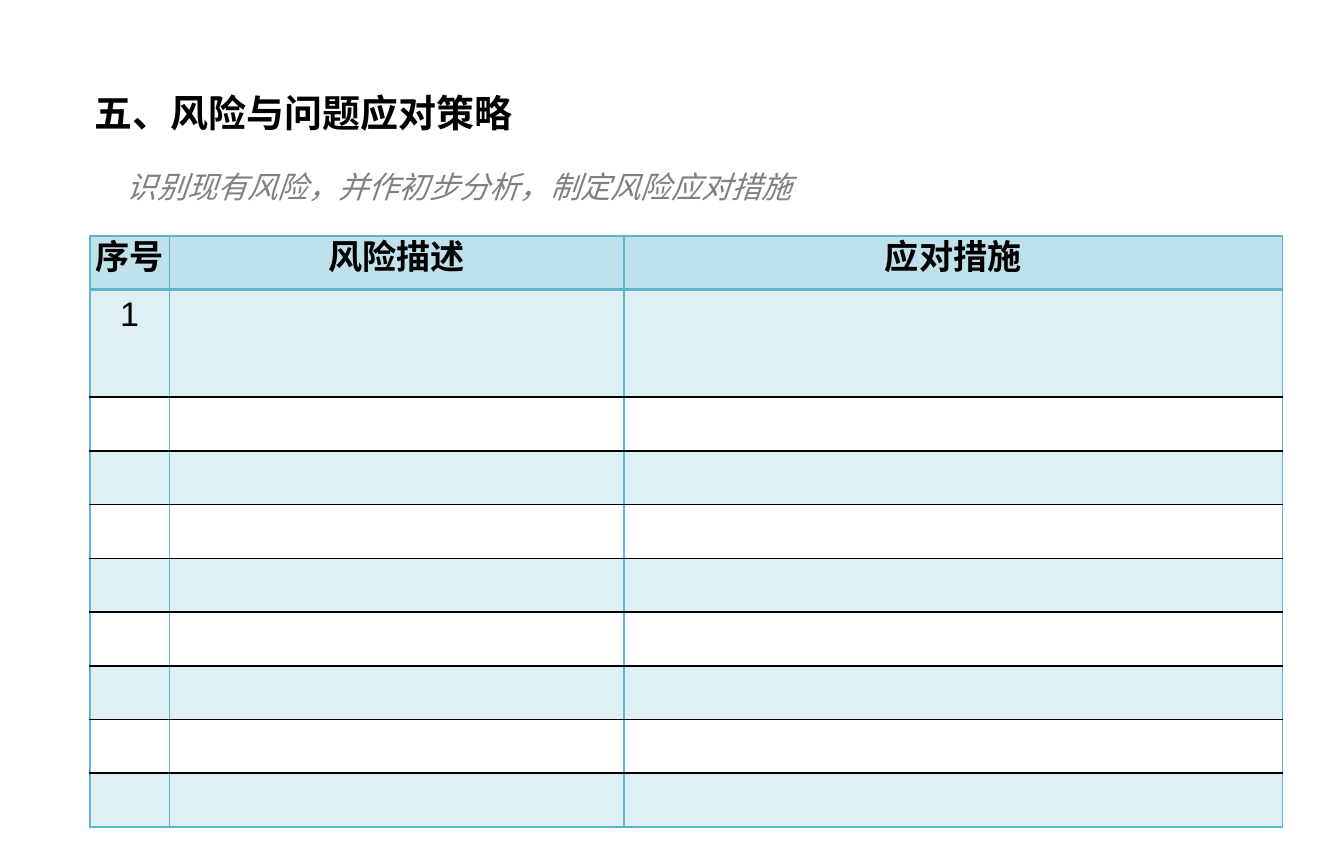
from lxml.etree import SubElement
from pptx import Presentation
from pptx.dml.color import RGBColor
from pptx.enum.text import MSO_ANCHOR, MSO_AUTO_SIZE, PP_ALIGN
from pptx.oxml import parse_xml
from pptx.oxml.ns import nsdecls, qn
from pptx.util import Inches, Pt

COLORS = {
    "text": "000000",
    "hint": "808080",
    "header": "BFE1EB",
    "band": "DFF0F5",
    "plain": "FFFFFF",
    "grid": "60B5CC",
    "rule": "000000",
}
HEADING_FONT, BODY_FONT = "Noto Sans CJK SC", "Arial"
GRID_COLUMNS, GRID_ROWS = 984, 630  # page grid, one hundredth of an inch

HEADERS = ["序号", "风险描述", "应对措施"]
COLUMN_SHARES = [58, 333, 482]
ROW_SHARES = [1, 2] + [1] * 8


def grid_box(deck, column, row, columns, rows):
    """Turn grid columns and rows into left, top, width and height."""
    across, down = deck.slide_width / GRID_COLUMNS, deck.slide_height / GRID_ROWS
    return [int(length) for length in
            (column * across, row * down, columns * across, rows * down)]


def write_text(frame, text, font=BODY_FONT, size=18, color="text", bold=False,
               italic=False, align=PP_ALIGN.LEFT, spacing=None):
    """Write one formatted paragraph into a text frame."""
    para = frame.paragraphs[0]
    para.alignment = align
    para.line_spacing = spacing
    span = para.add_run()
    span.text = text
    span.font.size = Pt(size)
    span.font.bold, span.font.italic = bold, italic
    span.font.color.rgb = RGBColor.from_string(COLORS[color])
    span.font.name = font
    east_asian = SubElement(span.font._element, qn("a:ea"))
    east_asian.set("typeface", HEADING_FONT)


def add_heading(page, box):
    """Place the page title in its placeholder."""
    title = page.shapes.title
    title.left, title.top, title.width, title.height = box
    frame = title.text_frame
    frame.auto_size = MSO_AUTO_SIZE.NONE
    frame.vertical_anchor = MSO_ANCHOR.MIDDLE
    write_text(frame, "五、风险与问题应对策略", font=HEADING_FONT, size=20, bold=True)


def add_hint(page, box):
    """Place the grey instruction under the title."""
    frame = page.shapes.add_textbox(*box).text_frame
    frame.word_wrap = True
    write_text(frame, "识别现有风险，并作初步分析，制定风险应对措施",
               size=16, color="hint", italic=True)


def set_borders(cell, top, bottom):
    """Draw cell borders; top and bottom are pairs of colour and points."""
    side = ("grid", 1)
    borders = [("L", side), ("R", side), ("T", top), ("B", bottom)]
    properties = cell._tc.get_or_add_tcPr()
    for index, (edge, (color, points)) in enumerate(borders):
        properties.insert(index, parse_xml(
            f'<a:ln{edge} {nsdecls("a")} w="{Pt(points)}"><a:solidFill>'
            f'<a:srgbClr val="{COLORS[color]}"/></a:solidFill></a:ln{edge}>'))


def add_risk_table(page, box):
    """Build the risk table: header, first risk and blank banded rows."""
    width, height = box[2:]
    table = page.shapes.add_table(len(ROW_SHARES), len(HEADERS), *box).table
    table.horz_banding = table.first_row = False
    for column, share in zip(table.columns, COLUMN_SHARES):
        column.width = int(width * share / sum(COLUMN_SHARES))
    for row, share in zip(table.rows, ROW_SHARES):
        row.height = int(height * share / sum(ROW_SHARES))

    last = len(ROW_SHARES) - 1
    edges = [("grid", 1), ("grid", 2)] + [("rule", 1)] * (last - 1) + [("grid", 1)]
    contents = {(0, column): text for column, text in enumerate(HEADERS)}
    contents[1, 0] = "1"
    for number, row in enumerate(table.rows):
        fill = "header" if number == 0 else "band" if number % 2 else "plain"
        for column, cell in enumerate(row.cells):
            cell.margin_left = cell.margin_right = 0
            cell.margin_top = cell.margin_bottom = 0
            cell.fill.solid()
            cell.fill.fore_color.rgb = RGBColor.from_string(COLORS[fill])
            set_borders(cell, edges[number], edges[number + 1])
            if (number, column) in contents:
                write_text(cell.text_frame, contents[number, column],
                           bold=number == 0, align=PP_ALIGN.CENTER,
                           spacing=Pt(22.9))


def build_risk_page(deck):
    """Add the risk page with its title, hint and table."""
    page = deck.slides.add_slide(deck.slide_layouts[5])
    add_heading(page, grid_box(deck, 59, 55, 921, 55))
    add_hint(page, grid_box(deck, 83, 118, 835, 91))
    add_risk_table(page, grid_box(deck, 66, 173, 873, 433))


deck = Presentation()
deck.slide_width, deck.slide_height = Inches(9.84), Inches(6.3)
build_risk_page(deck)
deck.save("out.pptx")
